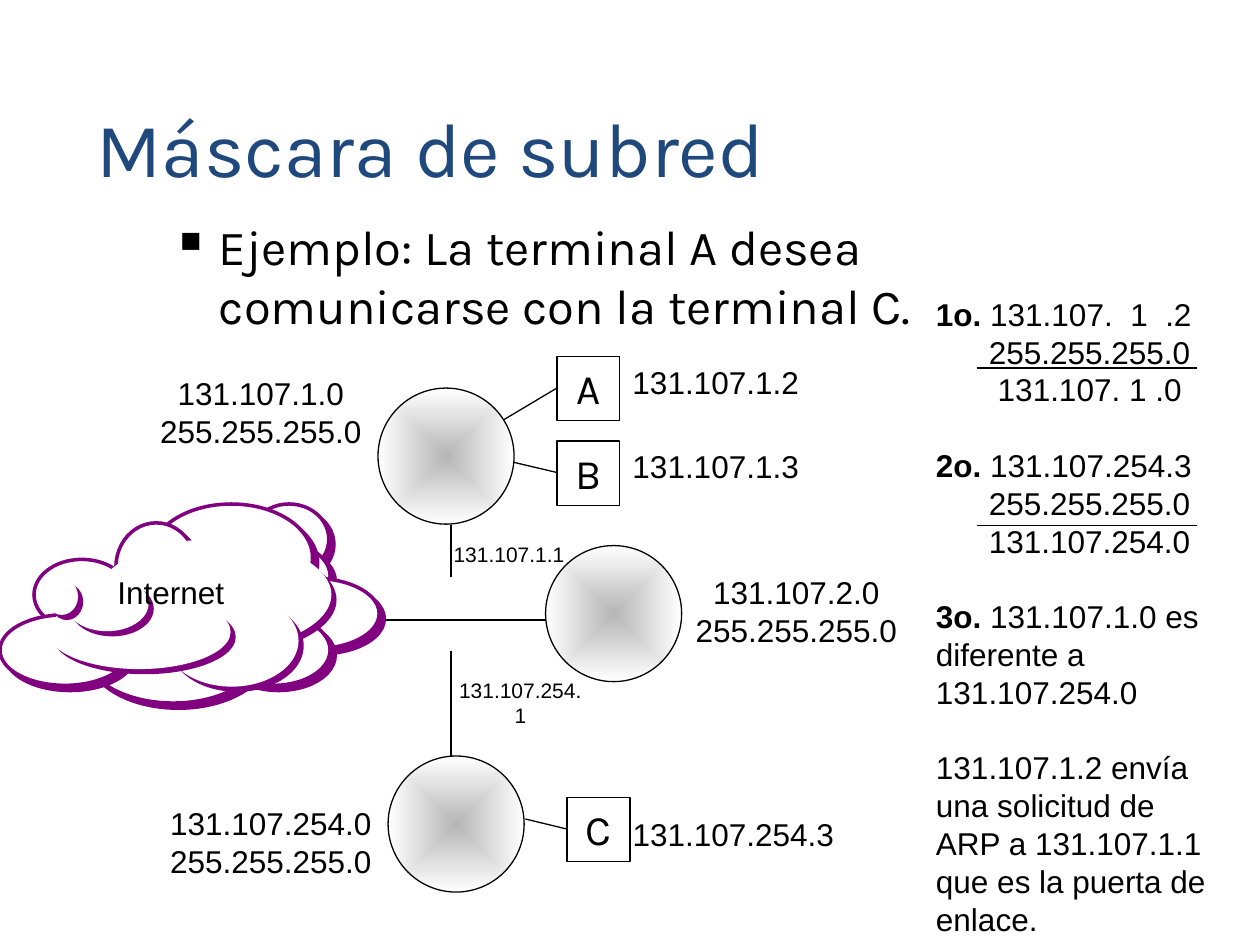
from pptx import Presentation
from pptx.dml.color import RGBColor
from pptx.enum.shapes import MSO_CONNECTOR, MSO_SHAPE
from pptx.enum.text import MSO_ANCHOR, MSO_AUTO_SIZE, PP_ALIGN
from pptx.oxml import parse_xml
from pptx.oxml.ns import nsdecls, qn
from pptx.util import Inches, Pt

OVAL, RECTANGLE = MSO_SHAPE.OVAL, MSO_SHAPE.RECTANGLE
STRAIGHT = MSO_CONNECTOR.STRAIGHT
LEFT, CENTER = PP_ALIGN.LEFT, PP_ALIGN.CENTER
TOP, BOTTOM = MSO_ANCHOR.TOP, MSO_ANCHOR.BOTTOM
GROW = MSO_AUTO_SIZE.SHAPE_TO_FIT_TEXT

BLACK = RGBColor(0x00, 0x00, 0x00)
WHITE = RGBColor(0xFF, 0xFF, 0xFF)
NAVY = RGBColor(0x1F, 0x49, 0x7D)
PURPLE = RGBColor(0x80, 0x00, 0x80)
GRAY = RGBColor(0xB6, 0xB6, 0xB6)


def write_text(box, text, size=18, font="Arial", color=BLACK, align=CENTER,
               anchor=TOP, wrap=False, grow=True):
    frame = box.text_frame
    frame.word_wrap = wrap
    frame.vertical_anchor = anchor
    if grow:
        frame.auto_size = GROW
    for index, line in enumerate(text.split("\n")):
        para = frame.paragraphs[0] if index == 0 else frame.add_paragraph()
        para.alignment = align
        span = para.add_run()
        span.text = line
        span.font.size = Pt(size)
        span.font.name = font
        span.font.color.rgb = color


def add_line(page, x1, y1, x2, y2):
    line = page.shapes.add_connector(
        STRAIGHT, Inches(x1), Inches(y1), Inches(x2), Inches(y2))
    line.line.color.rgb = BLACK
    line.line.width = Pt(0.75)
    line._element.spPr.append(parse_xml(f"<a:effectLst {nsdecls('a')}/>"))


deck = Presentation()
deck.slide_width, deck.slide_height = Inches(10), Inches(7.5)
page = deck.slides.add_slide(deck.slide_layouts[6])

# Title and bullet
title = page.shapes.add_textbox(Inches(0.67), Inches(0.33), Inches(8.5), Inches(1.25))
write_text(title, "Máscara de subred", size=44, font="Karla", color=NAVY,
           align=LEFT, anchor=BOTTOM, wrap=True, grow=False)

example = page.shapes.add_textbox(Inches(0.83), Inches(1.67), Inches(8.5), Inches(4.5))
write_text(example, "Ejemplo: La terminal A desea comunicarse con la terminal C.",
           size=28, font="Karla", align=LEFT, wrap=True, grow=False)
bullet_format = example.text_frame.paragraphs[0]._p.get_or_add_pPr()
bullet_format.set("marL", str(Inches(0.81)))
bullet_format.set("indent", str(Inches(-0.31)))
for bullet_part in (
    f'<a:buClr {nsdecls("a")}><a:srgbClr val="{BLACK}"/></a:buClr>',
    f'<a:buSzPct {nsdecls("a")} val="60000"/>',
    f'<a:buChar {nsdecls("a")} char="■"/>',
):
    bullet_format.append(parse_xml(bullet_part))

# Internet cloud: outlined puffs, then plain ovals that hide the inner outlines
add_line(page, 2.67, 4.92, 4.33, 4.92)
puffs = [
    (1.98, 4, 0.63, 0.56), (1.72, 4.29, 0.9, 0.56), (1.98, 4.59, 1.03, 0.56),
    (1.59, 4.73, 0.77, 0.41), (1.19, 4, 1.29, 0.85), (0.92, 4.15, 0.64, 0.7),
    (1.32, 4.59, 0.64, 0.56), (1.72, 4.88, 0.9, 0.56), (0.66, 4.73, 1.43, 0.85),
    (0.27, 4.44, 0.76, 0.56), (0, 4.88, 1.03, 0.56),
]
fillers = [
    (0.78, 4.28, 1.85, 0.88), (1.31, 4.72, 1.06, 0.73), (0.38, 4.72, 1.45, 0.59),
    (0.52, 4.57, 0.66, 0.44), (0.36, 4.59, 0.26, 0.29),
]
cloud = page.shapes.add_group_shape()
for index, place in enumerate(puffs + fillers):
    puff = cloud.shapes.add_shape(OVAL, *map(Inches, place))
    puff.shadow.inherit = False
    puff.fill.solid()
    puff.fill.fore_color.rgb = WHITE
    if index < len(puffs):
        puff.line.color.rgb = PURPLE
        puff.line.width = Pt(2)
    else:
        puff.line.fill.background()
    puff._element.spPr.find(qn("a:effectLst")).append(parse_xml(
        f'<a:outerShdw {nsdecls("a")} dist="{Pt(4.2)}" dir="2700000" algn="ctr" '
        f'rotWithShape="0"><a:srgbClr val="{PURPLE}"/></a:outerShdw>'))

# Links between networks and terminals
for link in [
    (3.58, 4.58, 3.58, 4.17), (3.58, 6, 3.58, 5.17), (4, 3.33, 4.42, 3.08),
    (4.08, 3.67, 4.42, 3.75), (4.17, 6.5, 4.5, 6.58),
]:
    add_line(page, *link)

# Networks
for left, top in [(4.33, 4.33), (3, 3.08), (3.08, 6)]:
    network = page.shapes.add_shape(
        OVAL, Inches(left), Inches(top), Inches(1.08), Inches(1.08))
    network.shadow.inherit = False
    network.fill.gradient()
    for stop, color in zip(network.fill.gradient_stops, (GRAY, WHITE)):
        stop.color.rgb = color
    gradient = network._element.spPr.find(qn("a:gradFill"))
    gradient.replace(gradient.find(qn("a:lin")), parse_xml(
        f'<a:path {nsdecls("a")} path="shape"><a:fillToRect l="50000" t="50000" '
        'r="50000" b="50000"/></a:path>'))
    network.line.color.rgb = BLACK
    network.line.width = Pt(0.75)

# Terminals
for name, left, top in [("A", 4.42, 2.83), ("B", 4.42, 3.5), ("C", 4.5, 6.33)]:
    terminal = page.shapes.add_shape(
        RECTANGLE, Inches(left), Inches(top), Inches(0.5), Inches(0.51))
    terminal.shadow.inherit = False
    terminal.fill.background()
    terminal.line.color.rgb = BLACK
    terminal.line.width = Pt(0.75)
    write_text(terminal, name, size=24, font="Karla", wrap=True)

# Addresses
for text, left, top, width, height, size in [
    ("131.107.1.0\n255.255.255.0", 1.17, 2.92, 1.8, 0.7, 18),
    ("131.107.2.0\n255.255.255.0", 5.42, 4.5, 1.8, 0.7, 18),
    ("131.107.254.0\n255.255.255.0", 1.25, 6.33, 1.8, 0.7, 18),
    ("Internet", 0.83, 4.5, 1.05, 0.4, 18),
    ("131.107.1.2", 4.92, 2.83, 1.52, 0.4, 18),
    ("131.107.1.3", 4.92, 3.5, 1.52, 0.4, 18),
    ("131.107.254.3", 4.92, 6.42, 1.8, 0.4, 18),
    ("131.107.1.1", 3.5, 4.25, 1.08, 0.3, 12),
    ("131.107.254.1", 3.5, 5.33, 1.26, 0.3, 12),
]:
    label = page.shapes.add_textbox(
        Inches(left), Inches(top), Inches(width), Inches(height))
    write_text(label, text, size=size)

# Steps: bold number, text, left indent, whether a new step starts
steps = page.shapes.add_textbox(Inches(7.33), Inches(2.29), Inches(2.42), Inches(5.21))
steps.text_frame.word_wrap = True
steps.text_frame.auto_size = GROW
for index, (number, text, indent, new_step) in enumerate([
    ("1o.", " 131.107.  1  .2", 0, False),
    ("", "255.255.255.0", 0.42, False),
    ("", "131.107. 1 .0", 0.49, False),
    ("2o.", " 131.107.254.3", 0, True),
    ("", "255.255.255.0", 0.42, False),
    ("", "131.107.254.0", 0.42, False),
    ("3o.", " 131.107.1.0 es diferente a 131.107.254.0", 0, True),
    ("", "131.107.1.2 envía una solicitud de ARP a 131.107.1.1 "
         "que es la puerta de enlace.", 0, True),
]):
    para = steps.text_frame.paragraphs[0] if index == 0 else steps.text_frame.add_paragraph()
    para.alignment = LEFT
    if indent:
        para._p.get_or_add_pPr().set("marL", str(Inches(indent)))
    if new_step:
        para.space_before = Pt(21.6)
    for part, bold in ((number, True), (text, False)):
        if part:
            span = para.add_run()
            span.text = part
            span.font.size = Pt(18)
            span.font.name = "Arial"
            span.font.bold = bold
            span.font.color.rgb = BLACK

for rule_top in (2.92, 4.17):
    add_line(page, 7.75, rule_top, 9.5, rule_top)

deck.save("out.pptx")
